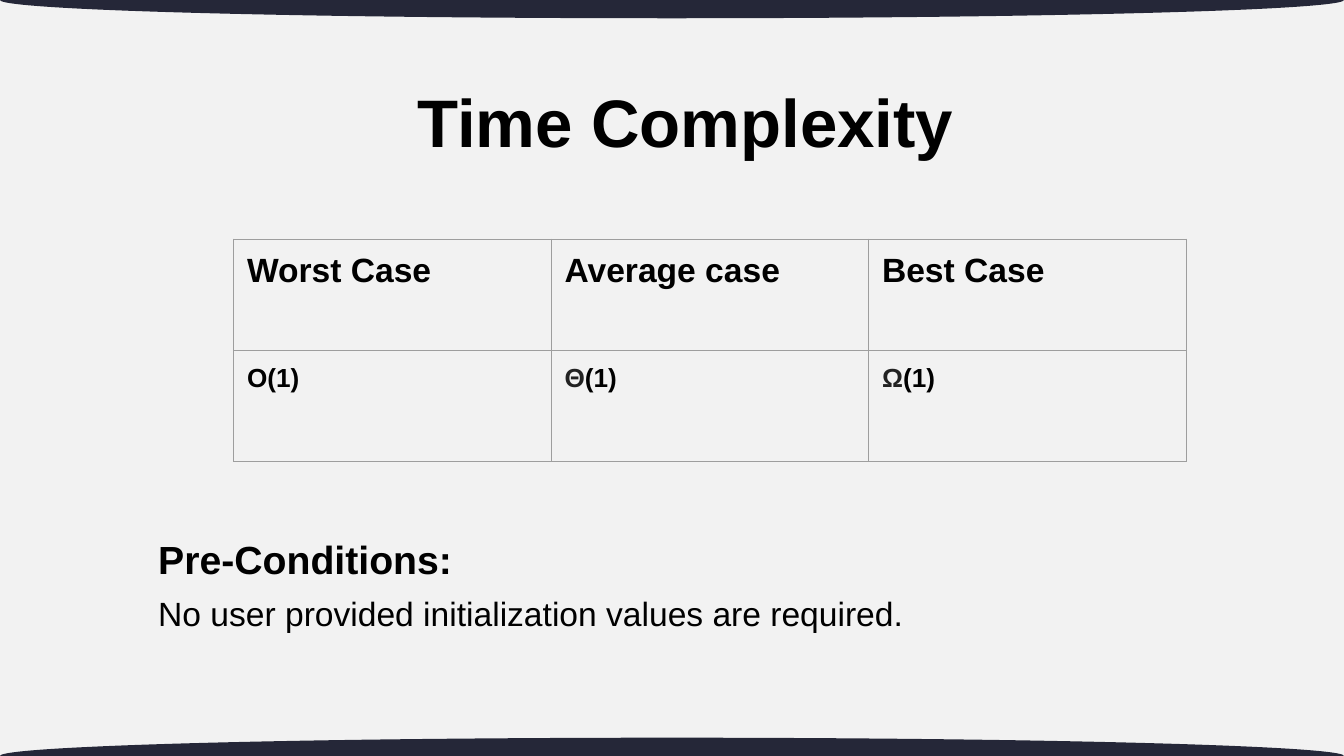
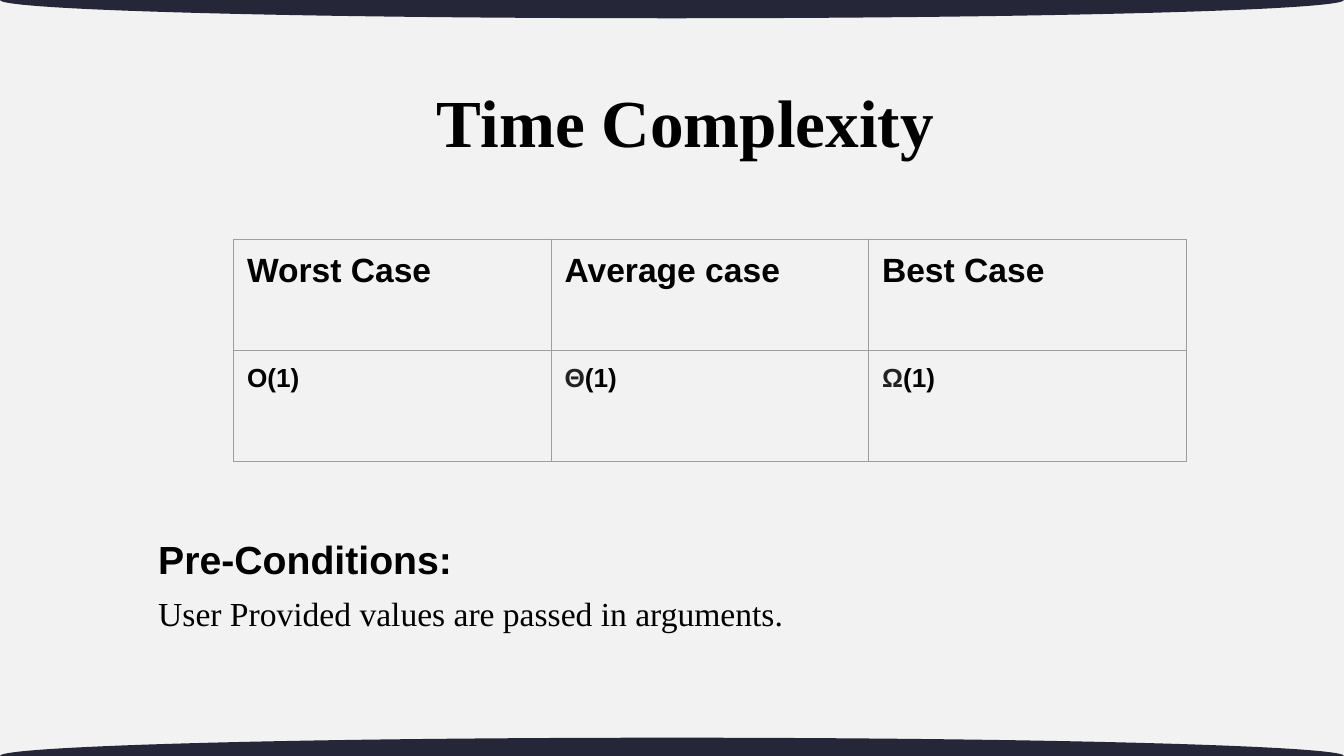
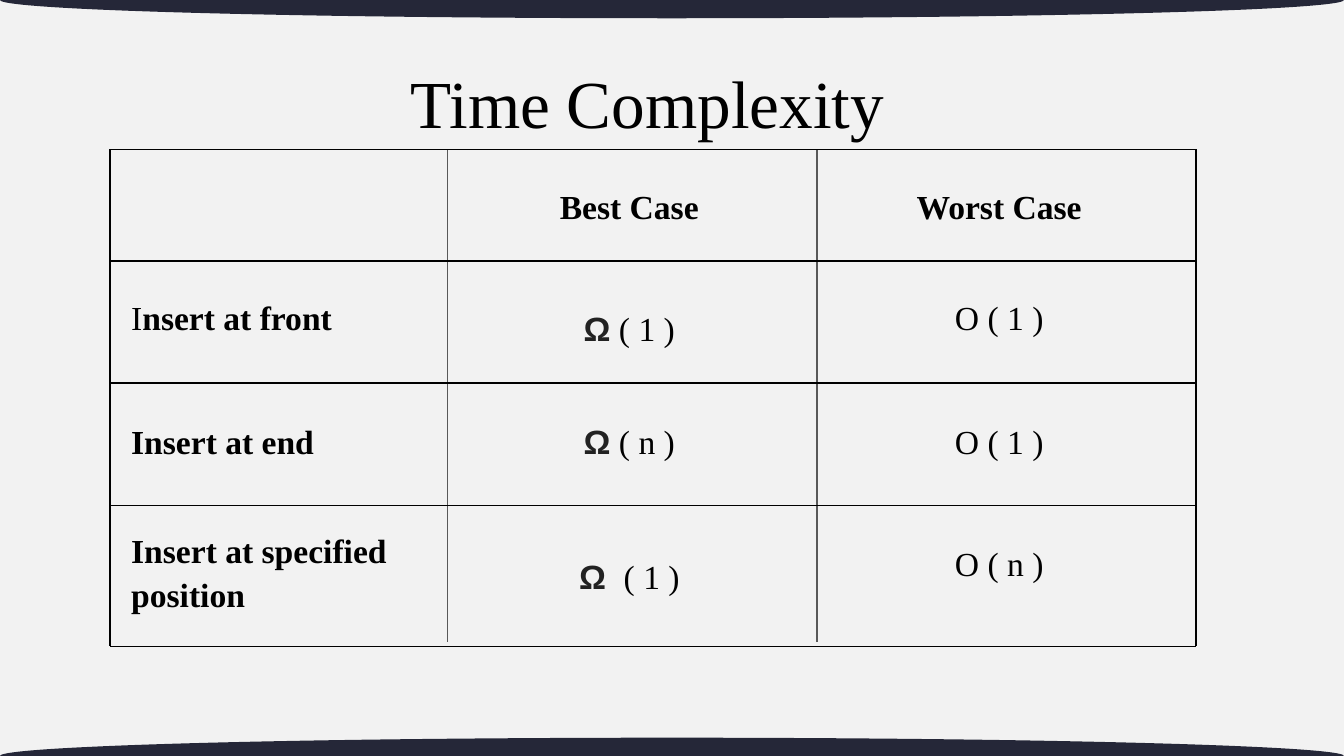
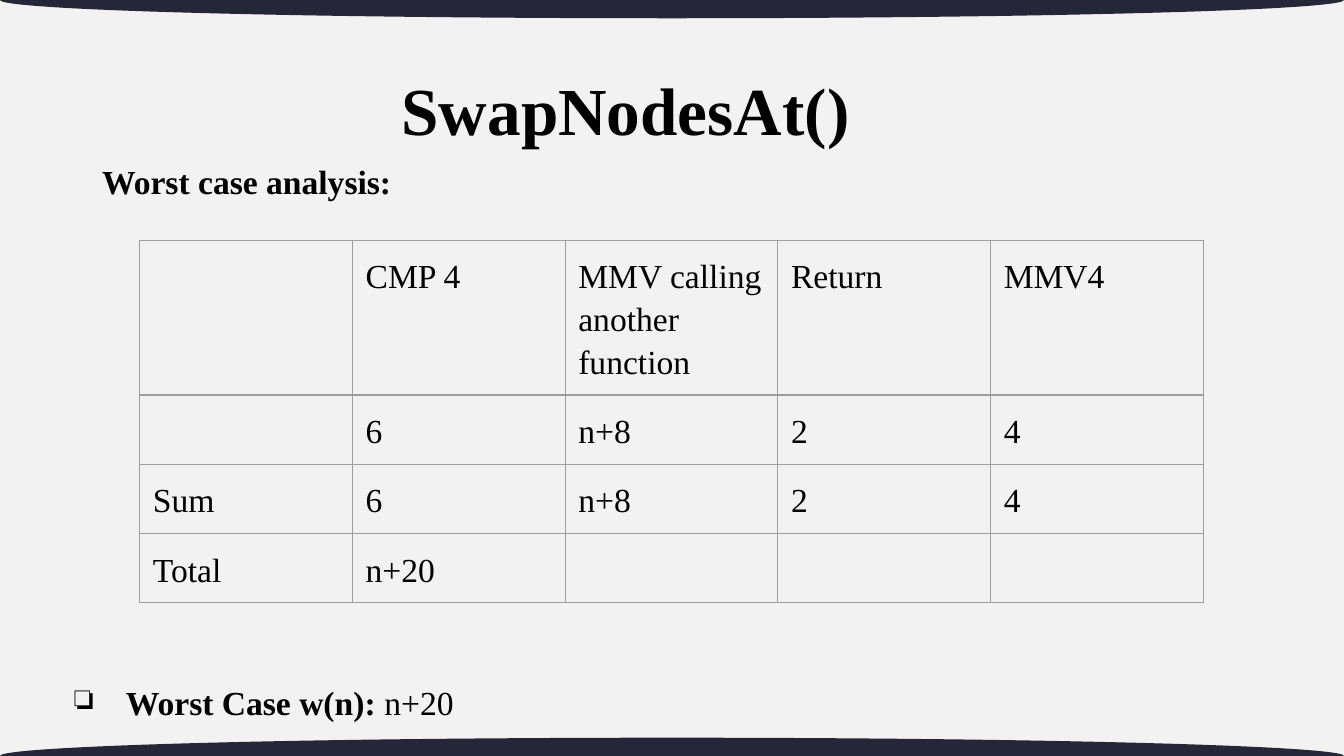
from lxml.etree import SubElement
from pptx import Presentation
from pptx.dml.color import RGBColor
from pptx.enum.shapes import MSO_CONNECTOR, MSO_SHAPE
from pptx.enum.text import MSO_ANCHOR, MSO_AUTO_SIZE, PP_ALIGN
from pptx.oxml.ns import qn
from pptx.util import Cm, Pt

COLORS = {
    "background": "F2F2F2",
    "band": "252738",
    "text": "000000",
    "greek": "222222",
    "border": "9E9E9E",
    "inner_rule": "595959",
}
SLIDE_SIZE = (25.4, 14.29)
SANS, SERIF = "Arial", "Times New Roman"
INSET, PLACEHOLDER_INSET = 0.25, 0.18
TITLE_AND_BODY, TITLE_ONLY = 1, 5

# Run formats
SANS_HEADING = {"name": SANS, "size": Pt(21), "bold": True}
SANS_BOLD = {"name": SANS, "size": Pt(18), "bold": True}
SANS_SMALL = {**SANS_BOLD, "size": Pt(14)}
SANS_PLAIN = {**SANS_BOLD, "bold": False}
SERIF_PLAIN = {"name": SERIF, "size": Pt(18), "bold": False}
SERIF_BOLD = {**SERIF_PLAIN, "bold": True}
GREEK = {**SANS_BOLD, "color": "greek"}
GREEK_SMALL = {**SANS_SMALL, "color": "greek"}

# Paragraph formats
CENTERED = {"alignment": PP_ALIGN.CENTER, "line_spacing": 1.08}
LEFT = {"alignment": PP_ALIGN.LEFT, "line_spacing": 1.08}
LOOSE = {"alignment": PP_ALIGN.LEFT, "line_spacing": 1.15}


def color_of(key):
    return RGBColor.from_string(COLORS[key])


def set_attributes(target, values):
    for name, value in values.items():
        setattr(target, name, value)


def write_paragraphs(text_frame, paragraphs, paragraph_format):
    """Each paragraph is a list of (text, run format) pairs."""
    for index, runs in enumerate(paragraphs):
        paragraph = text_frame.paragraphs[0] if index == 0 else text_frame.add_paragraph()
        set_attributes(paragraph, {"space_before": Pt(0), **paragraph_format})
        for text, run_format in runs:
            run = paragraph.add_run()
            run.text = text
            values = dict(run_format)
            run.font.color.rgb = color_of(values.pop("color", "text"))
            set_attributes(run.font, values)


def set_bullet(paragraph, character=None, margin=0, indent=0):
    properties = paragraph._p.get_or_add_pPr()
    properties.set("marL", str(Cm(margin)))
    properties.set("indent", str(Cm(indent)))
    if character is None:
        SubElement(properties, qn("a:buNone"))
        return
    bullet_color = SubElement(properties, qn("a:buClr"))
    SubElement(bullet_color, qn("a:srgbClr")).set("val", COLORS["text"])
    SubElement(properties, qn("a:buChar")).set("char", character)


def fill_text_shape(shape, box, paragraphs, paragraph_format, inset=INSET,
                    anchor=MSO_ANCHOR.TOP):
    left, top, width, height = map(Cm, box)
    set_attributes(shape, {"left": left, "top": top, "width": width, "height": height})
    frame = shape.text_frame
    set_attributes(frame, {
        "word_wrap": True, "auto_size": MSO_AUTO_SIZE.NONE, "vertical_anchor": anchor,
        **{f"margin_{side}": Cm(inset) for side in ("left", "right", "top", "bottom")},
    })
    write_paragraphs(frame, paragraphs, paragraph_format)
    return frame


def add_text(slide, box, paragraphs, paragraph_format):
    shape = slide.shapes.add_textbox(*map(Cm, box))
    return fill_text_shape(shape, box, paragraphs, paragraph_format)


def fill_title(slide, box, text, font=SERIF, bold=True, paragraph_format=CENTERED, **options):
    runs = [(text, {"name": font, "size": Pt(36), "bold": bold})]
    return fill_text_shape(slide.shapes.title, box, [runs], paragraph_format, **options)


def fill_body(slide, box, paragraphs, paragraph_format, **options):
    frame = fill_text_shape(slide.placeholders[1], box, paragraphs, paragraph_format, **options)
    for paragraph in frame.paragraphs:
        set_bullet(paragraph)


def set_borders(cell):
    properties = cell._tc.get_or_add_tcPr()
    for index, side in enumerate(("lnL", "lnR", "lnT", "lnB")):
        line = SubElement(properties, qn(f"a:{side}"))
        line.set("w", str(Pt(0.75)))
        fill = SubElement(line, qn("a:solidFill"))
        SubElement(fill, qn("a:srgbClr")).set("val", COLORS["border"])
        properties.insert(index, line)


def add_bordered_table(slide, box, rows, paragraph_format):
    """Rows hold cells, each a list of runs; columns and rows are equal."""
    left, top, width, height = map(Cm, box)
    table = slide.shapes.add_table(len(rows), len(rows[0]), left, top, width, height).table
    set_attributes(table, {"first_row": False, "horz_banding": False})
    for row_index, row in enumerate(rows):
        for column_index, runs in enumerate(row):
            cell = table.cell(row_index, column_index)
            cell.fill.background()
            set_borders(cell)
            set_attributes(cell, {
                f"margin_{side}": Cm(INSET) for side in ("left", "right", "top", "bottom")})
            if runs:
                write_paragraphs(cell.text_frame, [runs], paragraph_format)


def add_rule(slide, start, end, color="text"):
    line = slide.shapes.add_connector(MSO_CONNECTOR.STRAIGHT, *map(Cm, start + end))
    line.line.color.rgb = color_of(color)
    line.line.width = Pt(0.75)
    SubElement(line.element.spPr, qn("a:effectLst"))


def style_master(presentation, slide):
    """Give every slide the background and the two curved bands."""
    master = presentation.slide_master
    master.background.fill.solid()
    master.background.fill.fore_color.rgb = color_of("background")
    width, height = SLIDE_SIZE
    band_height = 0.69
    for index, center in enumerate((0, height)):
        band = slide.shapes.add_shape(MSO_SHAPE.OVAL, 0, Cm(center - band_height / 2),
                                      Cm(width), Cm(band_height))
        band.shadow.inherit = False
        band.fill.solid()
        band.fill.fore_color.rgb = color_of("band")
        band.line.fill.background()
        band.element.nvSpPr.cNvPr.set("id", str(100 + index))
        master.element.cSld.spTree.insert(2 + index, band.element)


def add_slide(presentation, layout):
    return presentation.slides.add_slide(presentation.slide_layouts[layout])


def build_case_slide(presentation, title_font, condition, condition_format):
    slide = add_slide(presentation, TITLE_AND_BODY)
    fill_title(slide, (2.01, 1.22, 21.89, 8.74), "Time Complexity", title_font,
               inset=PLACEHOLDER_INSET)
    fill_body(slide, (2.74, 9.96, 20.42, 2.39),
              [[("Pre-Conditions:", SANS_HEADING)], [(condition, condition_format)]],
              {"alignment": PP_ALIGN.LEFT, "line_spacing": 0.9, "space_before": Pt(8)})
    headings = [[(text, SANS_BOLD)] for text in ("Worst Case", "Average case", "Best Case")]
    bounds = [[("O(1)", SANS_SMALL)]]
    bounds += [[(letter, GREEK_SMALL), ("(1)", SANS_SMALL)] for letter in "ΘΩ"]
    add_bordered_table(slide, (4.42, 4.52, 18, 4.2), [headings, bounds], {"line_spacing": 1.0})
    return slide


def draw_grid_rules(slide, box):
    left, top, width, height = box
    for x in (0, width):
        add_rule(slide, (left + x, top), (left + x, top + height))
    for x in (6.38, 13.36):
        add_rule(slide, (left + x, top), (left + x, top + height - 0.08), "inner_rule")
    for y in (0, 2.11, 4.42, 6.73, height):
        add_rule(slide, (left, top + y), (left + width, top + y))


def fill_grid(slide, box):
    left, top = box[:2]
    label_x, best_x, worst_x = (left + x for x in (0.15, 6.73, 13.72))
    width, height = 6.17, 1.27
    # Column headings
    for x, text in ((best_x, "Best Case"), (worst_x, "Worst Case")):
        add_text(slide, (x, top + 0.38, width, height), [[(text, SERIF_BOLD)]], CENTERED)
    # Offset of row, label box (shift, width, height), label, best case and its shift, worst case
    one_line = (0, width, height)
    operations = [
        (2.49, one_line, [("I", SERIF_PLAIN), ("nsert at front", SERIF_BOLD)],
         ("Ω", " ( 1 )"), 0.2, "O ( 1 )"),
        (4.83, one_line, [("Insert at end", SERIF_BOLD)],
         ("Ω", " ( n )"), 0, "O ( 1 )"),
        (7.14, (-0.25, 6.76, 2.44), [("Insert at specified position", SERIF_BOLD)],
         ("Ω ", " ( 1 )"), 0.23, "O ( n )"),
    ]
    for offset, label_box, label, (letter, argument), best_shift, worst in operations:
        y = top + offset
        label_shift, label_width, label_height = label_box
        add_text(slide, (label_x, y + label_shift, label_width, label_height), [label], LEFT)
        add_text(slide, (best_x, y + best_shift, width, height),
                 [[(letter, GREEK), (argument, SERIF_PLAIN)]], CENTERED)
        add_text(slide, (worst_x, y, width, height), [[(worst, SERIF_PLAIN)]], CENTERED)


def build_insert_slide(presentation):
    slide = add_slide(presentation, TITLE_ONLY)
    fill_title(slide, (1.98, 0.79, 20.52, 1.65), "Time Complexity", bold=False)
    grid_box = (2.08, 2.82, 20.52, 9.4)
    draw_grid_rules(slide, grid_box)
    fill_grid(slide, grid_box)


def build_swap_slide(presentation):
    slide = add_slide(presentation, TITLE_AND_BODY)
    title_frame = fill_title(slide, (1.75, 0.76, 21.89, 2.77), "SwapNodesAt()",
                             paragraph_format={"alignment": PP_ALIGN.LEFT, "line_spacing": 0.9},
                             inset=PLACEHOLDER_INSET, anchor=MSO_ANCHOR.MIDDLE)
    title_frame.margin_left = Cm(5.84)
    fill_body(slide, (1.75, 2.74, 21.89, 9.07), [[("Worst case analysis:", SERIF_BOLD)]],
              {**LOOSE, "space_before": Pt(10)}, inset=PLACEHOLDER_INSET)
    # Operation counts
    counts = [
        ("", "CMP 4", "MMV calling another function", "Return", "MMV4"),
        ("", "6", "n+8", "2", "4"),
        ("Sum", "6", "n+8", "2", "4"),
        ("Total", "n+20", "", "", ""),
    ]
    rows = [[[(text, SERIF_PLAIN)] if text else [] for text in row] for row in counts]
    add_bordered_table(slide, (2.64, 4.54, 20.1, 4.28), rows, LOOSE)
    # Result
    result = add_text(slide, (0.86, 12.52, 15.7, 1.6),
                      [[("Worst Case w(n): ", SERIF_BOLD), ("n+20", SERIF_PLAIN)]], LOOSE)
    set_bullet(result.paragraphs[0], "❏", 1.27, -0.97)


def main():
    presentation = Presentation()
    presentation.slide_width, presentation.slide_height = map(Cm, SLIDE_SIZE)
    first_slide = build_case_slide(
        presentation, SANS, "No user provided initialization values are required.", SANS_PLAIN)
    style_master(presentation, first_slide)
    build_case_slide(
        presentation, SERIF, "User Provided values are passed in arguments.", SERIF_PLAIN)
    build_insert_slide(presentation)
    build_swap_slide(presentation)
    presentation.save("out.pptx")


if __name__ == "__main__":
    main()
